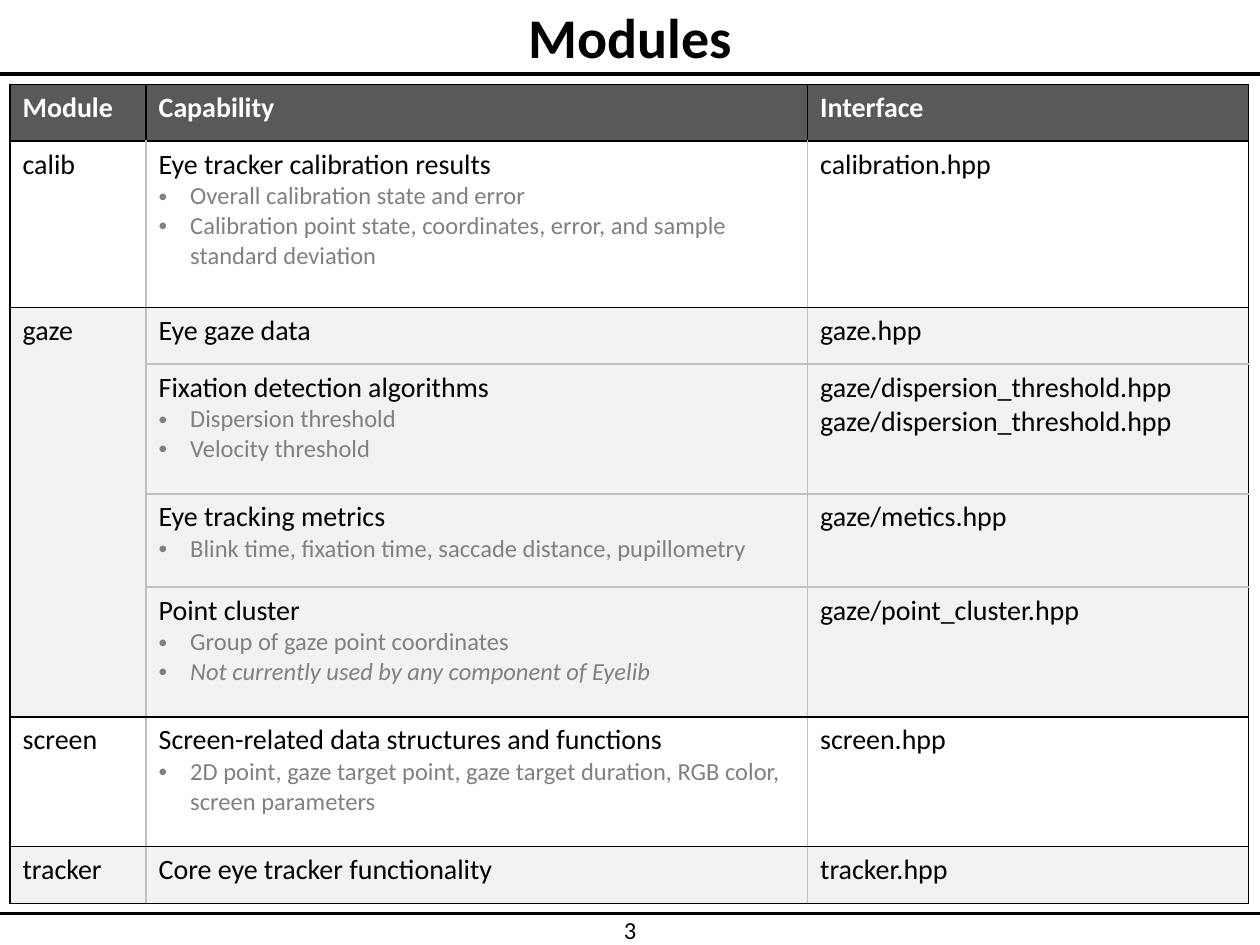
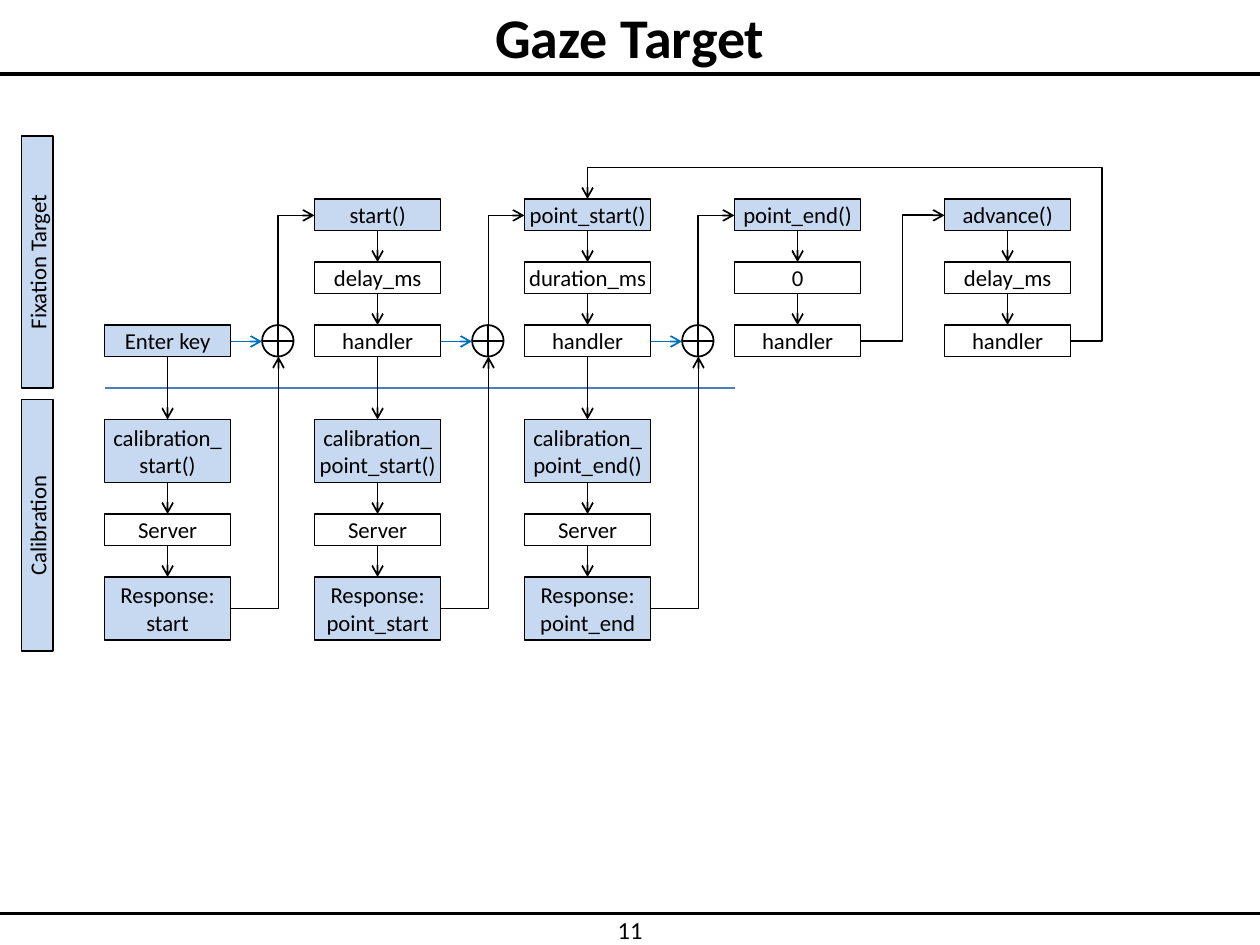
"""Builds a module table slide and a gaze target flow slide."""
from lxml import etree
from pptx import Presentation
from pptx import util as u
from pptx.dml.color import RGBColor
from pptx.enum import shapes, text
from pptx.oxml.ns import qn

FONT = "Calibri"
BLACK, WHITE, DARK, PALE = "000000", "FFFFFF", "595959", "F2F2F2"
GREY, EDGE, SKY, BLUE, RULE = "808080", "BFBFBF", "C6D9F1", "0070C0", "4B7EBC"

HEADS = ["Module", "Capability", "Interface"]
WIDTHS = [1.08, 5.25, 3.5]
HIGHS = [0.45, 1.32, 0.45, 1.03, 0.74, 1.03, 1.03, 0.45]
SLANT = "Not currently used by any component of Eyelib"
MODULES = [
    ("calib", [
        ("Eye tracker calibration results",
         ["Overall calibration state and error",
          "Calibration point state, coordinates, error, and sample standard deviation"],
         ["calibration.hpp"])]),
    ("gaze", [
        ("Eye gaze data", [], ["gaze.hpp"]),
        ("Fixation detection algorithms",
         ["Dispersion threshold", "Velocity threshold"],
         ["gaze/dispersion_threshold.hpp", "gaze/dispersion_threshold.hpp"]),
        ("Eye tracking metrics",
         ["Blink time, fixation time, saccade distance, pupillometry"],
         ["gaze/metics.hpp"]),
        ("Point cluster", ["Group of gaze point coordinates", SLANT],
         ["gaze/point_cluster.hpp"])]),
    ("screen", [
        ("Screen-related data structures and functions",
         ["2D point, gaze target point, gaze target duration, RGB color, screen parameters"],
         ["screen.hpp"])]),
    ("tracker", [
        ("Core eye tracker functionality", [], ["tracker.hpp"])]),
]

TARGET = [
    ["Enter key"],
    ["start()", "delay_ms", "handler"],
    ["point_start()", "duration_ms", "handler"],
    ["point_end()", "0", "handler"],
    ["advance()", "delay_ms", "handler"],
]
CALIB = [
    ["calibration_\nstart()", "Server", "Response:\nstart"],
    ["calibration_\npoint_start()", "Server", "Response:\npoint_start"],
    ["calibration_\npoint_end()", "Server", "Response:\npoint_end"],
]
LANES = [("Fixation Target", 1.08), ("Calibration", 3.17)]


def color(code):
    return RGBColor.from_string(code)


def say(frame, words, size=13, hue=BLACK, bold=False, slant=False,
        align=None, dot=False, more=False):
    for k, line in enumerate(words.split("\n")):
        para = frame.add_paragraph() if more or k else frame.paragraphs[0]
        para.alignment = align
        run = para.add_run()
        run.text = line
        font = run.font
        font.name, font.size, font.bold, font.italic = FONT, u.Pt(size), bold, slant
        font.color.rgb = color(hue)
        if dot:
            props = para._p.get_or_add_pPr()
            props.set("marL", str(u.Inches(0.25)))
            props.set("indent", str(-u.Inches(0.25)))
            etree.SubElement(props, qn("a:buFont")).set("typeface", "Arial")
            etree.SubElement(props, qn("a:buChar")).set("char", "•")


def label(slide, words, x, y, w, h, size, **form):
    frame = slide.shapes.add_textbox(*map(u.Inches, (x, y, w, h))).text_frame
    frame.word_wrap = True
    frame.margin_top = frame.margin_bottom = 0
    frame.vertical_anchor = text.MSO_ANCHOR.MIDDLE
    say(frame, words, size, align=text.PP_ALIGN.CENTER, **form)


def shape(slide, kind, x, y, w, h, fill, words="", turn=False):
    item = slide.shapes.add_shape(kind, *map(u.Inches, (x, y, w, h)))
    item.shadow.inherit = False
    item.fill.solid()
    item.fill.fore_color.rgb = color(fill)
    item.line.color.rgb = color(BLACK)
    item.line.width = u.Pt(1)
    if words:
        frame = item.text_frame
        frame.word_wrap = False
        frame.margin_top = frame.margin_bottom = 0
        frame.vertical_anchor = text.MSO_ANCHOR.MIDDLE
        if turn:
            frame._txBody.bodyPr.set("vert", "vert270")
        say(frame, words, align=text.PP_ALIGN.CENTER)


def link(slide, x1, y1, x2, y2, hue=BLACK, width=1, end="tailEnd", bend=0, adj=()):
    kind = shapes.MSO_CONNECTOR.ELBOW if bend else shapes.MSO_CONNECTOR.STRAIGHT
    item = slide.shapes.add_connector(kind, *map(u.Inches, (x1, y1, x2, y2)))
    item.line.color.rgb = color(hue)
    item.line.width = u.Pt(width)
    props = item._element.spPr
    if bend:
        geom = props.find(qn("a:prstGeom"))
        geom.set("prst", f"bentConnector{bend}")
        for k, part in enumerate(adj, 1):
            guide = etree.SubElement(geom.find(qn("a:avLst")), qn("a:gd"))
            guide.set("name", f"adj{k}")
            guide.set("fmla", f"val {round(part * 100000)}")
    if end:
        etree.SubElement(props.find(qn("a:ln")), qn(f"a:{end}")).set("type", "arrow")
    etree.SubElement(props, qn("a:effectLst"))


def start(deck, title, number):
    slide = deck.slides.add_slide(deck.slide_layouts[6])
    link(slide, 0, 0.59, 10, 0.59, width=2.25, end=None)
    link(slide, 0, 7.25, 10, 7.25, width=2, end=None)
    label(slide, title, 0, 0, 10, 0.58, 32, bold=True)
    label(slide, number, 4.64, 7.26, 0.72, 0.24, 14)
    return slide


def paint(cell, fill, left, right, top, bottom):
    cell.fill.solid()
    cell.fill.fore_color.rgb = color(fill)
    props = cell._tc.get_or_add_tcPr()
    sides = {"lnL": left, "lnR": right, "lnT": top, "lnB": bottom}
    for k, (side, hue) in enumerate(sides.items()):
        line = etree.Element(qn(f"a:{side}"), w=str(u.Pt(1)))
        if hue:
            solid = etree.SubElement(line, qn("a:solidFill"))
            etree.SubElement(solid, qn("a:srgbClr")).set("val", hue)
        else:
            etree.SubElement(line, qn("a:noFill"))
        props.insert(k, line)


def modules(deck):
    slide = start(deck, "Modules", "3")
    spot = map(u.Inches, (0.08, 0.67, sum(WIDTHS), sum(HIGHS)))
    grid = slide.shapes.add_table(len(HIGHS), len(WIDTHS), *spot).table
    for col, wide in zip(grid.columns, WIDTHS):
        col.width = u.Inches(wide)
    for row, high in zip(grid.rows, HIGHS):
        row.height = u.Inches(high)
    for c, head in enumerate(HEADS):
        say(grid.cell(0, c).text_frame, head, 16, WHITE, bold=True)
        paint(grid.cell(0, c), DARK, BLACK, BLACK, BLACK, BLACK)
    r = 1
    for g, (name, rows) in enumerate(MODULES):
        for k, (main, dots, files) in enumerate(rows):
            cells = [grid.cell(r, c) for c in range(3)]
            if k == 0:
                say(cells[0].text_frame, name, 16)
            say(cells[1].text_frame, main, 16)
            for dot in dots:
                say(cells[1].text_frame, dot, 14, GREY, slant=dot == SLANT,
                    dot=True, more=True)
            say(cells[2].text_frame, "\n".join(files), 16)
            for c, cell in enumerate(cells):
                inner = EDGE if c else None
                paint(cell, PALE if g % 2 else WHITE,
                      EDGE if c else BLACK, BLACK if c == 2 else EDGE,
                      inner if k else BLACK,
                      inner if k < len(rows) - 1 else BLACK)
            r += 1


def stack(slide, x, y, gap, steps, fills):
    low = None
    for words, fill in zip(steps, fills):
        high = 0.25 * len(words.split("\n"))
        shape(slide, shapes.MSO_SHAPE.RECTANGLE, x, y, 1, high, fill, words)
        if low:
            link(slide, x + 0.5, low, x + 0.5, y)
        low = y + high
        y = low + gap


def gaze(deck):
    slide = start(deck, "Gaze Target", "11")
    left = [0.83 + 5 * k / 3 for k in range(len(TARGET))]
    top, base, mid, lower = 1.58, 2.58, 2.71, 3.33
    entry, reply = top + 0.13, 4.83
    link(slide, left[0], 3.08, left[3], 3.08, RULE, 0.75, end=None)
    for x, steps in zip(left, TARGET):
        y = base - 0.5 * (len(steps) - 1)
        stack(slide, x, y, 0.25, steps, [SKY, WHITE, WHITE])
    for x, after, steps in zip(left, left[1:], CALIB):
        stack(slide, x, lower, 0.25, steps, [SKY, WHITE, SKY])
        join = x + 1.38
        link(slide, x + 0.5, base + 0.25, x + 0.5, lower)
        shape(slide, shapes.MSO_SHAPE.FLOWCHART_OR, x + 1.25, base, 0.25, 0.25, WHITE)
        link(slide, x + 1, mid, x + 1.25, mid, BLUE)
        link(slide, x + 1, reply, join, base + 0.25, bend=2)
        link(slide, after, entry, join, base, end="headEnd", bend=2)
    link(slide, left[3] + 1, mid, left[4], entry, bend=3)
    link(slide, left[4] + 1, mid, left[2] + 0.5, top, bend=4, adj=(-0.065, 1.222))
    for words, y in LANES:
        shape(slide, shapes.MSO_SHAPE.RECTANGLE, 0.17, y, 0.25, 2, SKY, words, turn=True)


def main():
    deck = Presentation()
    deck.slide_width, deck.slide_height = u.Inches(10), u.Inches(7.5)
    modules(deck)
    gaze(deck)
    deck.save("out.pptx")


if __name__ == "__main__":
    main()
